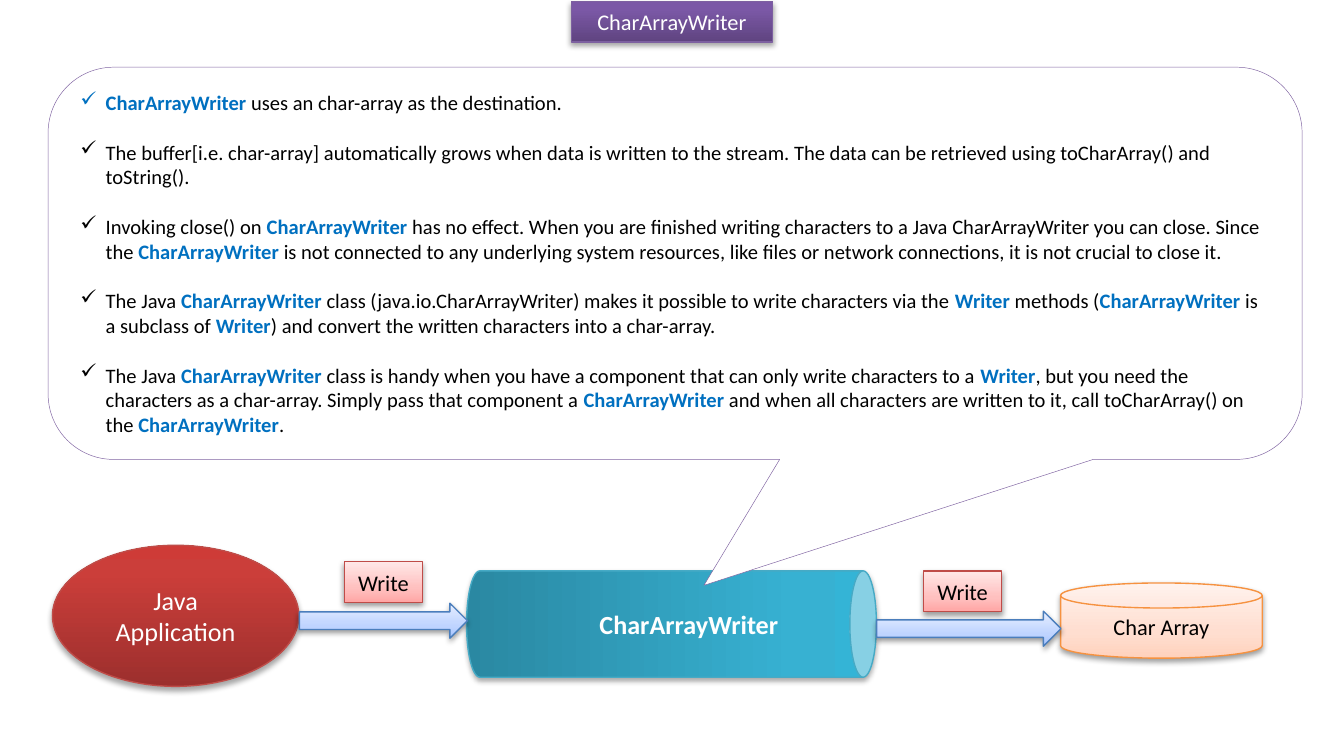
from lxml import etree
from pptx import Presentation
from pptx.dml.color import RGBColor
from pptx.enum.shapes import MSO_SHAPE
from pptx.enum.text import MSO_ANCHOR, MSO_AUTO_SIZE, PP_ALIGN
from pptx.oxml.ns import qn
from pptx.util import Pt

RECTANGLE, OVAL, CAN = MSO_SHAPE.RECTANGLE, MSO_SHAPE.OVAL, MSO_SHAPE.CAN
DISK, ARROW = MSO_SHAPE.FLOWCHART_MAGNETIC_DISK, MSO_SHAPE.RIGHT_ARROW
CALLOUT = MSO_SHAPE.ROUNDED_RECTANGULAR_CALLOUT
LEFT, CENTER = PP_ALIGN.LEFT, PP_ALIGN.CENTER
MIDDLE, NO_FIT = MSO_ANCHOR.MIDDLE, MSO_AUTO_SIZE.NONE

COLORS = {"white": "FFFFFF", "black": "000000", "keyword": "0070C0", "callout line": "8064A2"}

# Line colour, then gradient stops from bottom to top
STRONG, PALE = (0, 80, 100), (0, 35, 100)
THEMES = {
    "purple": ("7D60A0", STRONG, ("5F4480", "7B58A6", "7C57A8")),
    "red": ("BF4C48", STRONG, ("9C2F2D", "CB3E3A", "CE3B37")),
    "teal": ("46AAC5", STRONG, ("2A88A2", "37B1D2", "34B4D6")),
    "orange": ("F69240", PALE, ("FFD2BD", "FFDED0", "FFF2ED")),
    "pink": ("BF4C48", PALE, ("FFA6A5", "FFC0BF", "FFE7E7")),
    "blue": ("4B7EBC", PALE, ("A4C4FF", "BFD4FF", "E6EEFF")),
}

# Keywords stand between double asterisks
NOTES = [
    "**CharArrayWriter** uses an char-array as the destination.",
    "The buffer[i.e. char-array] automatically grows when data is written to the stream. "
    "The data can be retrieved using toCharArray() and toString().",
    "Invoking close() on **CharArrayWriter** has no effect. When you are finished writing "
    "characters to a Java CharArrayWriter you can close. Since the **CharArrayWriter** is not "
    "connected to any underlying system resources, like files or network connections, it is "
    "not crucial to close it.",
    "The Java **CharArrayWriter** class (java.io.CharArrayWriter) makes it possible to write "
    "characters via the **Writer** methods (**CharArrayWriter** is a subclass of **Writer**) "
    "and convert the written characters into a char-array.",
    "The Java **CharArrayWriter** class is handy when you have a component that can only write "
    "characters to a **Writer**, but you need the characters as a char-array. Simply pass that "
    "component a **CharArrayWriter** and when all characters are written to it, call "
    "toCharArray() on the **CharArrayWriter**.",
]


class SlideBuilder:
    font_name = "Calibri"

    def __init__(self, slide):
        self.slide = slide

    def format_font(self, font, color, **values):
        for name, value in {"name": self.font_name, **values}.items():
            setattr(font, name, value)
        font.color.rgb = RGBColor.from_string(COLORS[color])

    def paint(self, shape, theme):
        line_color, positions, stops = THEMES[theme]
        shape.fill.gradient()
        shape.fill.gradient_angle = 90
        stop_list = next(shape.element.spPr.iter(qn("a:gsLst")))
        for old_stop in list(stop_list):
            stop_list.remove(old_stop)
        for position, color in zip(positions, stops):
            stop = etree.SubElement(stop_list, qn("a:gs"), pos=str(position * 1000))
            etree.SubElement(stop, qn("a:srgbClr"), val=color)
        shape.line.color.rgb = RGBColor.from_string(line_color)
        shape.line.width = Pt(0.75)
        # Soft shadow below the shape
        shape.shadow.inherit = False
        alpha, distance = (35, 1.8) if positions == STRONG else (38, 1.6)
        shadow = etree.SubElement(
            shape.element.spPr.find(qn("a:effectLst")), qn("a:outerShdw"),
            blurRad=str(Pt(3.1)), dist=str(Pt(distance)), dir="5400000", rotWithShape="0")
        color = etree.SubElement(shadow, qn("a:srgbClr"), val=COLORS["black"])
        etree.SubElement(color, qn("a:alpha"), val=str(alpha * 1000))

    def label(self, shape, text, color, size, bold=False, align=CENTER, wrap=True):
        frame = shape.text_frame
        for name, value in {"word_wrap": wrap, "auto_size": NO_FIT,
                            "vertical_anchor": MIDDLE}.items():
            setattr(frame, name, value)
        para = frame.paragraphs[0]
        para.alignment = align
        span = para.add_run()
        span.text = text
        self.format_font(span.font, color, size=Pt(size), bold=bold)

    def title(self, text, place, theme):
        box = self.slide.shapes.title
        for name, value in zip(("left", "top", "width", "height"), place):
            setattr(box, name, Pt(value))
        self.paint(box, theme)
        self.label(box, text, "white", 12)

    def shape(self, kind, place, theme=None):
        shape = self.slide.shapes.add_shape(kind, *map(Pt, place))
        if theme:
            self.paint(shape, theme)
        return shape

    def callout(self, notes, place, adjustments):
        box = self.shape(CALLOUT, place)
        for index, value in enumerate(adjustments):
            box.adjustments[index] = value
        box.shadow.inherit = False
        box.fill.solid()
        box.fill.fore_color.rgb = RGBColor.from_string(COLORS["white"])
        box.line.color.rgb = RGBColor.from_string(COLORS["callout line"])
        box.line.width = Pt(0.25)
        frame = box.text_frame
        frame.word_wrap = True
        frame.vertical_anchor = MIDDLE
        for index, note in enumerate(notes):
            para = frame.add_paragraph() if index else frame.paragraphs[0]
            para.alignment = LEFT
            if index:
                para.space_before = Pt(13.4)
            self.bullet(para)
            for part, text in enumerate(note.split("**")):
                if text:
                    span = para.add_run()
                    span.text = text
                    keyword = part % 2 == 1
                    self.format_font(span.font, "keyword" if keyword else "black",
                                     size=Pt(11), bold=keyword)

    def bullet(self, para):
        properties = para._p.get_or_add_pPr()
        properties.set("marL", str(Pt(13.5)))
        properties.set("indent", str(-Pt(13.5)))
        etree.SubElement(properties, qn("a:buChar"), char="✓")

    def writer_pipe(self, text, place):
        pipe = self.shape(CAN, place, "teal")
        pipe.rotation = 90
        self.label(pipe, text, "white", 14, bold=True, align=LEFT)
        pipe.text_frame._txBody.bodyPr.set("vert", "vert270")
        pipe.text_frame.paragraphs[0]._p.get_or_add_pPr().set("marL", str(Pt(57)))


def main():
    deck = Presentation()
    deck.slide_width, deck.slide_height = Pt(720), Pt(396)
    page = SlideBuilder(deck.slides.add_slide(deck.slide_layouts[5]))

    # Title
    page.title("CharArrayWriter", (306, 0.7, 108, 21.8), "purple")

    # Source, writer and destination
    application = page.shape(OVAL, (28.1, 292.2, 132, 75.6), "red")
    page.label(application, "Java Application", "white", 14)
    page.writer_pipe("CharArrayWriter", (331.2, 224.6, 57, 219.6))
    array = page.shape(DISK, (568.2, 312.4, 108, 40.3), "orange")
    page.label(array, "Char Array", "black", 12)

    # Labels above the arrows
    for left, top in ((494.8, 306), (184.5, 301)):
        tag = page.shape(RECTANGLE, (left, top, 41.8, 21.8), "pink")
        page.label(tag, "Write", "black", 12, wrap=False)

    # Explanation
    page.callout(NOTES, (25.8, 36, 671.8, 210.2), (0.023, 0.821, 0.167))

    # Block arrows
    for place in ((160.4, 323.2, 90, 18.8), (469.6, 327.5, 98.8, 18.8)):
        page.shape(ARROW, place, "blue")

    deck.save("out.pptx")


if __name__ == "__main__":
    main()
